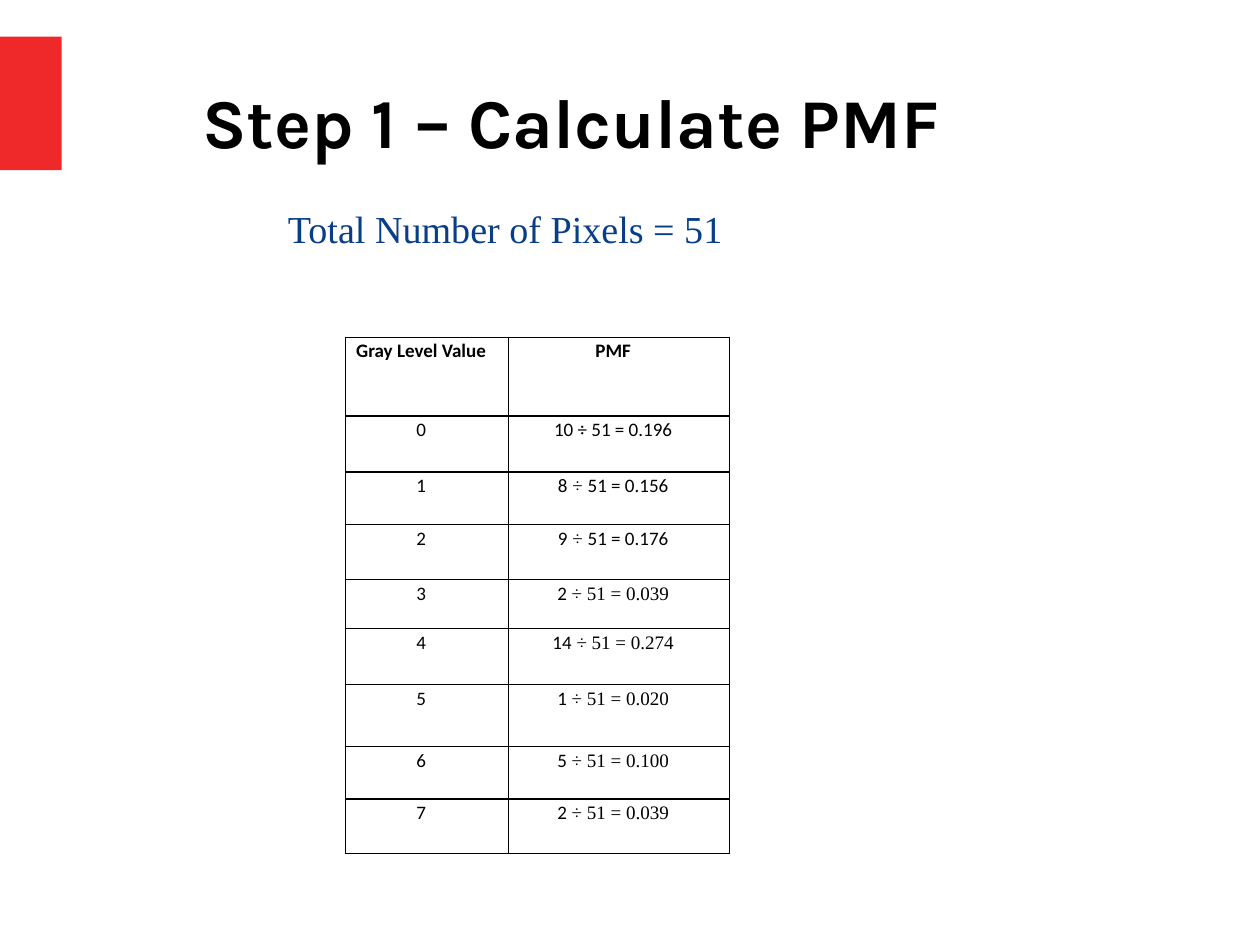
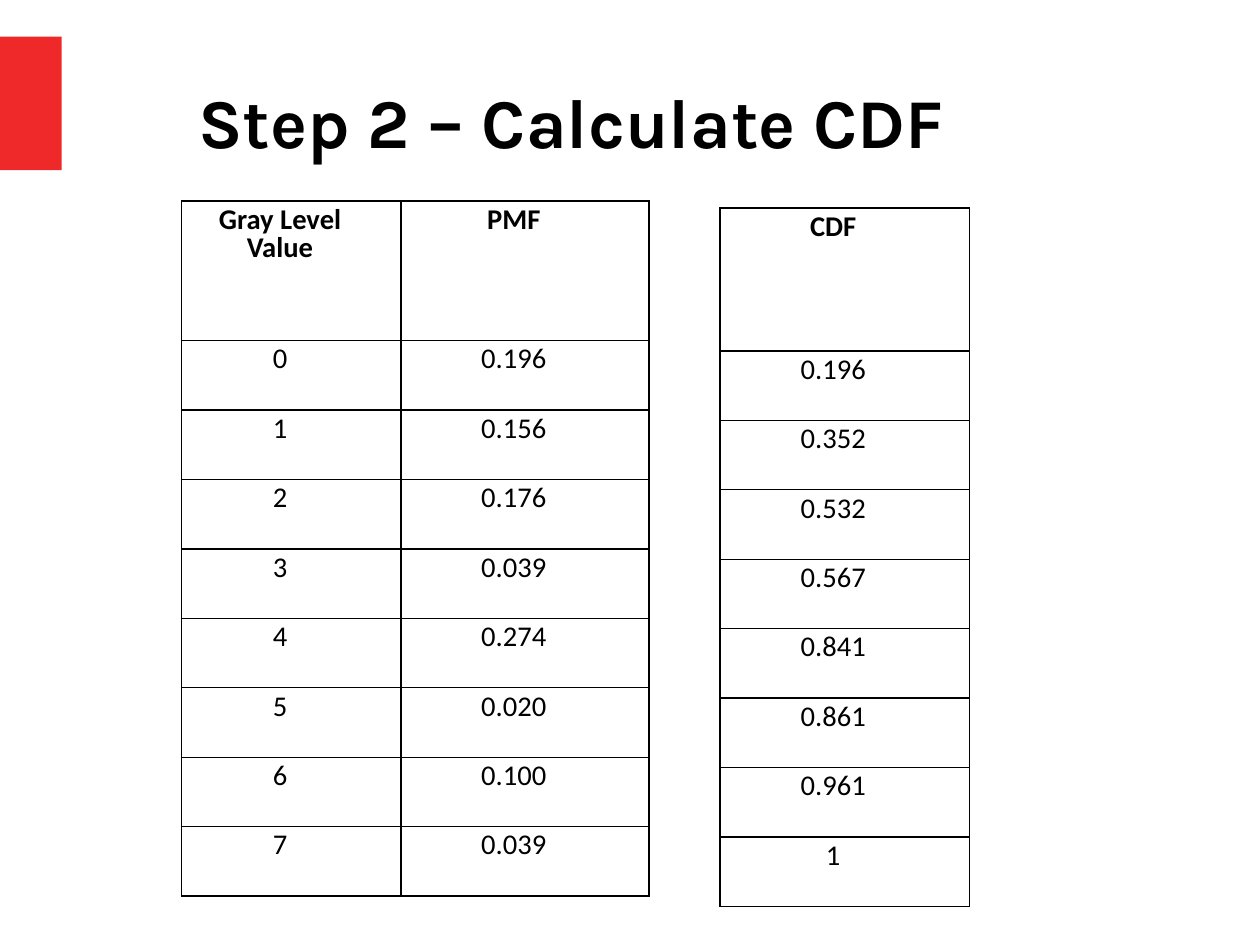
from dataclasses import dataclass

from lxml.etree import SubElement
from pptx import Presentation
from pptx.dml.color import RGBColor
from pptx.enum.shapes import MSO_SHAPE
from pptx.enum.text import MSO_ANCHOR, PP_ALIGN
from pptx.oxml.ns import qn
from pptx.util import Inches, Pt


@dataclass(frozen=True)
class Theme:
    band: RGBColor = RGBColor(0xEF, 0x29, 0x29)
    ink: RGBColor = RGBColor(0, 0, 0)
    note: RGBColor = RGBColor(0x07, 0x3E, 0x87)
    title_font: str = "Karla"
    table_font: str = "Calibri"
    serif_font: str = "Times New Roman"
    title_size: Pt = Pt(44)
    note_size: Pt = Pt(24)
    small_size: Pt = Pt(12)
    large_size: Pt = Pt(18)
    border: Pt = Pt(1)


theme = Theme()
deck = Presentation()
deck.slide_width = Inches(11.024)
deck.slide_height = Inches(8.2675)


def add_titled_page(title):
    page = deck.slides.add_slide(deck.slide_layouts[6])
    band = page.shapes.add_shape(MSO_SHAPE.RECTANGLE, 0, Inches(0.32), Inches(0.54), Inches(1.17))
    band.shadow.inherit = False
    band.fill.solid()
    band.fill.fore_color.rgb = theme.band
    band.line.fill.background()

    box = page.shapes.add_textbox(Inches(0.5), Inches(0.37), Inches(9), Inches(1.37))
    box.text_frame.word_wrap = True
    box.text_frame.vertical_anchor = MSO_ANCHOR.MIDDLE
    para = box.text_frame.paragraphs[0]
    para.text = title
    para.alignment = PP_ALIGN.CENTER
    para.font.name, para.font.size, para.font.bold = theme.title_font, theme.title_size, True
    para.font.color.rgb = theme.ink
    return page


def add_ruled_table(page, left, top, widths, heights, rows, size, right_margin):
    """Add a black-ruled table; in cell text each "|" switches to or from the serif font."""
    table = page.shapes.add_table(
        len(rows), len(widths), Inches(left), Inches(top),
        Inches(sum(widths)), Inches(sum(heights))).table
    table.first_row = table.horz_banding = False
    for column, width in zip(table.columns, widths):
        column.width = Inches(width)
    for row_index, (values, height) in enumerate(zip(rows, heights)):
        table.rows[row_index].height = Inches(height)
        for cell, value in zip(table.rows[row_index].cells, values):
            cell.margin_left, cell.margin_right = Inches(0.01), Inches(right_margin)
            para = cell.text_frame.paragraphs[0]
            para.alignment, para.line_spacing = PP_ALIGN.CENTER, 0.81
            para.font.size, para.font.bold = size, row_index == 0
            para.font.color.rgb = theme.ink
            for part_index, part in enumerate(value.split("|")):
                span = para.add_run()
                span.text = part
                span.font.name = theme.serif_font if part_index % 2 else theme.table_font
            properties = cell._tc.get_or_add_tcPr()
            for side in ("a:lnL", "a:lnR", "a:lnT", "a:lnB"):
                line = SubElement(properties, qn(side), w=str(theme.border))
                fill = SubElement(line, qn("a:solidFill"))
                SubElement(fill, qn("a:srgbClr"), val=str(theme.ink))
            cell.fill.background()


levels = [str(level) for level in range(8)]

# Step 1
page = add_titled_page("Step 1 – Calculate PMF")
box = page.shapes.add_textbox(Inches(2.42), Inches(1.75), Inches(9), Inches(1))
box.text_frame.word_wrap = True
para = box.text_frame.paragraphs[0]
para.text = "Total Number of Pixels = 51"
para.font.name, para.font.size = theme.serif_font, theme.note_size
para.font.color.rgb = theme.note

divisions = [
    "10 ÷ 51 = 0.196", "8| ÷ |51 = 0.156", "9| ÷ |51 = 0.176", "2| ÷ 51 = 0.039",
    "14| ÷ 51 = 0.274", "1| ÷ 51 = 0.020", "5| ÷ 51 = 0.100", "2| ÷ 51 = 0.039",
]
add_ruled_table(
    page, 3.02, 2.95, [1.43, 1.93], [0.69, 0.49, 0.46, 0.48, 0.43, 0.49, 0.54, 0.46, 0.48],
    [("Gray Level Value", "PMF"), *zip(levels, divisions)], theme.small_size, 0.11)

# Step 2
page = add_titled_page("Step 2 – Calculate CDF")
pmf = ["0.196", "0.156", "0.176", "0.039", "0.274", "0.020", "0.100", "0.039"]
cdf = ["0.196", "0.352", "0.532", "0.567", "0.841", "0.861", "0.961", "1"]
row_heights = [4.86 / len(levels)] * len(levels)
add_ruled_table(
    page, 1.59, 1.76, [1.92, 2.17], [1.22, *row_heights],
    [("Gray Level Value", "PMF"), *zip(levels, pmf)], theme.large_size, 0.21)
add_ruled_table(
    page, 6.3, 1.82, [2.18], [1.25, *row_heights],
    [("CDF",), *zip(cdf)], theme.large_size, 0.21)

deck.save("out.pptx")
